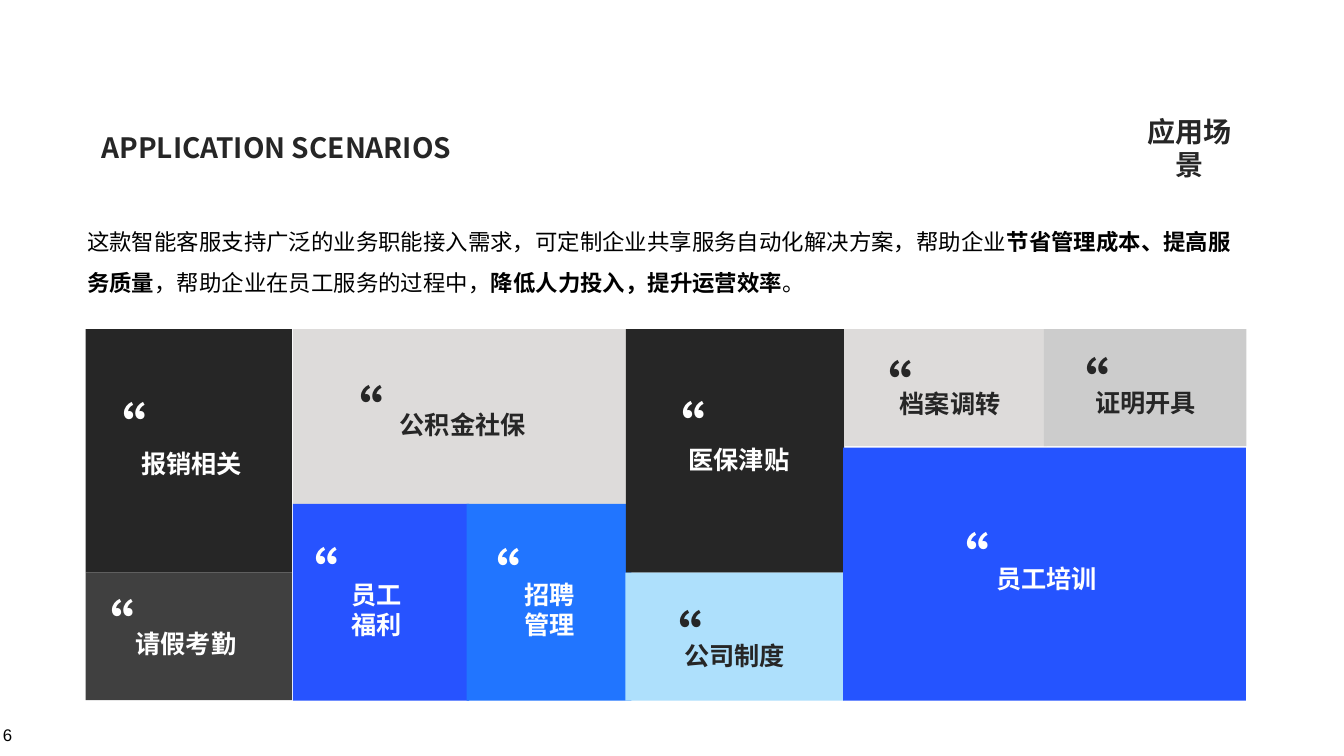
from lxml import etree
from pptx import Presentation
from pptx.dml.color import RGBColor
from pptx.enum.shapes import MSO_SHAPE
from pptx.enum.text import MSO_ANCHOR, MSO_AUTO_SIZE, PP_ALIGN
from pptx.oxml.ns import qn
from pptx.util import Pt

RECTANGLE = MSO_SHAPE.RECTANGLE
TOP, MIDDLE = MSO_ANCHOR.TOP, MSO_ANCHOR.MIDDLE
GROW = MSO_AUTO_SIZE.SHAPE_TO_FIT_TEXT
LEFT, CENTER = PP_ALIGN.LEFT, PP_ALIGN.CENTER

BLACK = RGBColor(0x00, 0x00, 0x00)
WHITE = RGBColor(0xFF, 0xFF, 0xFF)
CHARCOAL = RGBColor(0x26, 0x26, 0x26)
GRAPHITE = RGBColor(0x40, 0x40, 0x40)
SILVER = RGBColor(0xCC, 0xCC, 0xCC)
PALE_GREY = RGBColor(0xDD, 0xDB, 0xDA)
ROYAL_BLUE = RGBColor(0x27, 0x53, 0xFF)
COBALT = RGBColor(0x25, 0x54, 0xFF)
AZURE = RGBColor(0x21, 0x75, 0xFF)
SKY = RGBColor(0xAE, 0xE0, 0xFC)

FONT = "Noto Sans CJK SC"
INSET = 4.3
LABEL_SIZE, LABEL_LINE = 36, 43.2
QUOTE_SIZE = (88, 105)

HEADINGS = [
    ("应用场景", (1615.7, 182.9, 167.8, 56.2)),
    ("APPLICATION SCENARIOS", (126.7, 182.9, 536.4, 56.2)),
]
INTRO = [
    ("这款智能客服支持广泛的业务职能接入需求，可定制企业共享服务自动化解决方案，帮助企业", False),
    ("节省管理成本、提高服务质量", True),
    ("，帮助企业在员工服务的过程中，", False),
    ("降低人力投入，提升运营效率", True),
    ("。", False),
]
# fmt: off
TILES = [
    (["报销相关"], (122.4, 470.2, 294.5, 347.8), CHARCOAL, WHITE, (197.3, 636.5), (124.6, 558.7)),
    (["公积金社保"], (418.3, 470.2, 484.6, 249.8), PALE_GREY, CHARCOAL, (566.6, 581), (463, 534.2)),
    (["员工", "福利"], (418.3, 720, 252, 280.8), ROYAL_BLUE, WHITE, (497.5, 823), (398.9, 766.8)),
    (["招聘", "管理"], (666.7, 720, 235.4, 280.8), AZURE, WHITE, (744.5, 823), (658.8, 767.5)),
    (["医保津贴"], (894.2, 470.2, 311.8, 347.8), CHARCOAL, WHITE, (979.2, 630.7), (923, 557.3)),
    (["档案调转"], (1206, 470.2, 289.4, 167), PALE_GREY, CHARCOAL, (1280.9, 550), (1219.7, 499)),
    (["公司制度"], (893.5, 817.9, 311.8, 182.9), SKY, CHARCOAL, (973.4, 910.8), (919.4, 856.8)),
    (["员工培训"], (1204.6, 639.4, 575.3, 361.4), COBALT, WHITE, (1419.1, 800.6), (1329.1, 745.2)),
    (["证明开具"], (1491.1, 470.2, 289.4, 167), SILVER, CHARCOAL, (1560.2, 548.6), (1501.2, 494.6)),
    (["请假考勤"], (122.4, 817.9, 294.5, 182.2), GRAPHITE, WHITE, (189.4, 892.8), (107.3, 841)),
]
# fmt: on


def add_tile(page, bounds, fill):
    tile = page.shapes.add_shape(RECTANGLE, *map(Pt, bounds))
    tile.shadow.inherit = False
    tile.fill.solid()
    tile.fill.fore_color.rgb = fill
    tile.line.fill.background()


def add_text(page, lines, bounds, size, color, bold=True, font=FONT,
             anchor=MIDDLE, align=CENTER, wrap=False, spacing=None):
    box = page.shapes.add_textbox(*map(Pt, bounds))
    frame = box.text_frame
    frame.word_wrap = wrap
    frame.auto_size = GROW
    frame.vertical_anchor = anchor
    frame.margin_left = frame.margin_right = Pt(INSET)
    frame.margin_top = frame.margin_bottom = Pt(INSET)
    for index, spans in enumerate(lines):
        paragraph = frame.add_paragraph() if index else frame.paragraphs[0]
        paragraph.alignment = align
        if spacing:
            paragraph.line_spacing = Pt(spacing)
        paragraph.font.size = Pt(size)
        paragraph.font.bold = bold
        paragraph.font.color.rgb = color
        paragraph.font.name = font
        defaults = paragraph._p.pPr.find(qn("a:defRPr"))
        etree.SubElement(defaults, qn("a:ea")).set("typeface", font)
        for text, strong in spans:
            span = paragraph.add_run()
            span.text = text
            if strong != bold:
                span.font.bold = strong


def main():
    deck = Presentation()
    deck.slide_width, deck.slide_height = Pt(1920), Pt(1080)
    page = deck.slides.add_slide(deck.slide_layouts[6])

    add_text(page, [[("6", False)]], (0, 1030.3, 21.6, 36.7), 24, BLACK,
             bold=False, font="Arial", anchor=TOP)
    for heading, bounds in HEADINGS:
        add_text(page, [[(heading, True)]], bounds, 40, CHARCOAL)
    add_text(page, [INTRO], (120.2, 301.7, 1663.9, 126), 32, BLACK,
             bold=False, align=LEFT, wrap=True, spacing=58.4)

    for label, bounds, fill, ink, label_at, quote_at in TILES:
        add_tile(page, bounds, fill)
    for label, bounds, fill, ink, label_at, quote_at in TILES:
        label_size = (len(label[0]) * LABEL_SIZE + 2 * INSET,
                      len(label) * LABEL_LINE + 2 * INSET)
        add_text(page, [[(line, True)] for line in label],
                 label_at + label_size, LABEL_SIZE, ink)
        add_text(page, [[("“", True)]], quote_at + QUOTE_SIZE, 80, ink)

    deck.save("out.pptx")


if __name__ == "__main__":
    main()
